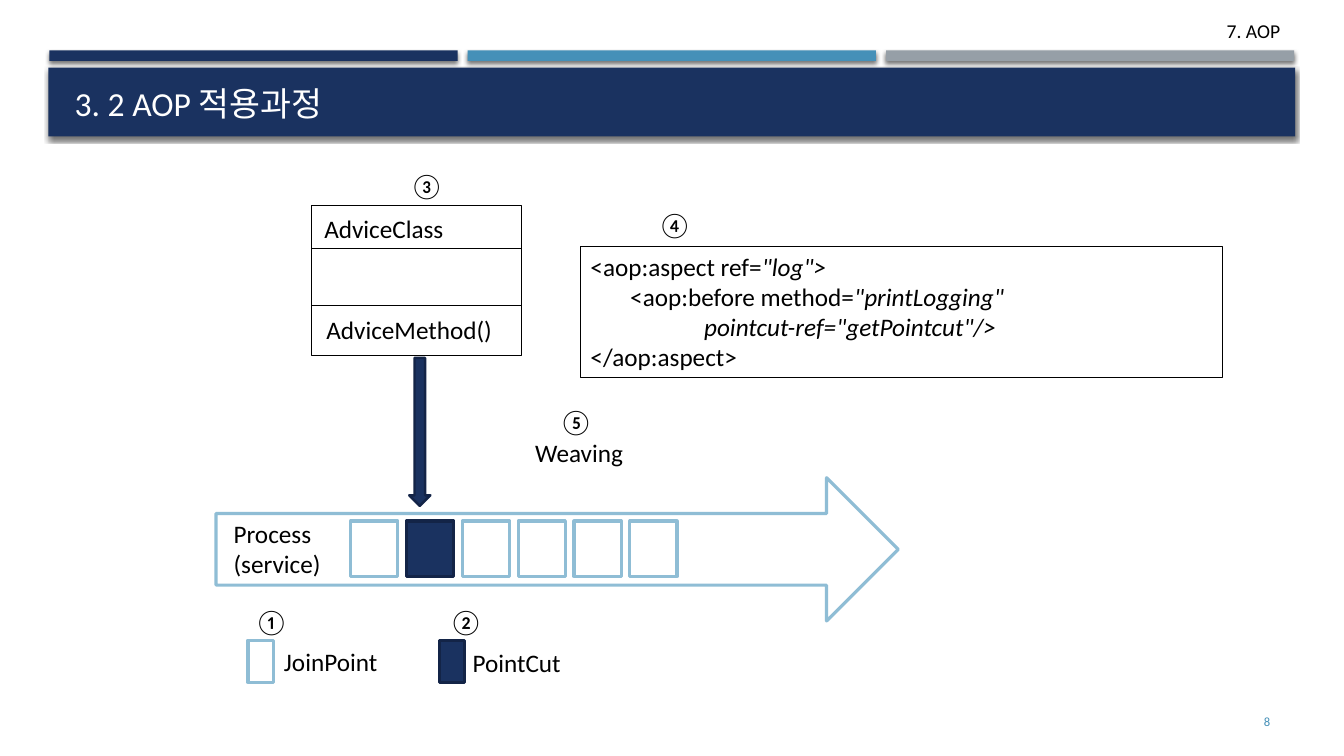
from dataclasses import dataclass
from typing import Optional

from lxml.etree import SubElement
from pptx import Presentation
from pptx.dml.color import RGBColor
from pptx.enum.shapes import MSO_SHAPE
from pptx.enum.text import MSO_ANCHOR, MSO_AUTO_SIZE, PP_ALIGN
from pptx.oxml.ns import qn
from pptx.shapes.autoshape import Shape
from pptx.slide import Slide
from pptx.util import Pt

NAVY, NAVY_EDGE = "1A3260", "132447"
BLUE, PALE_BLUE, GRAY = "4590B8", "8FBDD5", "969FA7"
BLACK, WHITE = "000000", "FFFFFF"


@dataclass
class Block:
    """A preset shape with its place and paint."""

    left: float
    top: float
    width: float
    height: float
    fill: Optional[str] = None
    line: Optional[str] = None
    line_width: float = 2.25
    geometry: MSO_SHAPE = MSO_SHAPE.RECTANGLE
    shadow: bool = False


@dataclass
class Label:
    """A text box with one or more lines."""

    text: str
    left: float
    top: float
    width: float
    height: float = 28.8
    size: float = 18
    color: str = BLACK
    align: PP_ALIGN = PP_ALIGN.LEFT
    anchor: MSO_ANCHOR = MSO_ANCHOR.TOP


def color_of(value: str) -> RGBColor:
    """Turn a hex string into a colour."""
    return RGBColor.from_string(value)


def set_values(target: object, values: dict) -> None:
    """Set every attribute named in the dict."""
    for name, value in values.items():
        setattr(target, name, value)


def format_font(font: object, size: float, color: str, italic: bool = False) -> None:
    """Give a font its face, size, colour and slant."""
    set_values(font, {"name": "Calibri", "size": Pt(size), "italic": italic})
    font.color.rgb = color_of(color)


def add_shadow(shape: Shape) -> None:
    """Put a soft shadow below a shape."""
    effects = shape.element.spPr.find(qn("a:effectLst"))
    attributes = {"blurRad": Pt(3), "dist": Pt(2), "dir": 5400000}
    outer = SubElement(effects, qn("a:outerShdw"),
                       {name: str(int(value)) for name, value in attributes.items()},
                       rotWithShape="0")
    tint = SubElement(outer, qn("a:srgbClr"), val=BLACK)
    SubElement(tint, qn("a:alpha"), val="55000")


def draw_block(slide: Slide, block: Block) -> Shape:
    """Draw one preset shape."""
    place = [Pt(value) for value in (block.left, block.top, block.width, block.height)]
    shape = slide.shapes.add_shape(block.geometry, *place)
    shape.shadow.inherit = False
    if block.shadow:
        add_shadow(shape)
    if block.fill:
        shape.fill.solid()
        shape.fill.fore_color.rgb = color_of(block.fill)
    else:
        shape.fill.background()
    if block.line:
        shape.line.color.rgb = color_of(block.line)
        shape.line.width = Pt(block.line_width)
    else:
        shape.line.fill.background()
    return shape


def draw_label(slide: Slide, label: Label) -> None:
    """Draw one text box."""
    place = [Pt(value) for value in (label.left, label.top, label.width, label.height)]
    frame = slide.shapes.add_textbox(*place).text_frame
    set_values(frame, {"word_wrap": True, "vertical_anchor": label.anchor, "text": label.text})
    for paragraph in frame.paragraphs:
        paragraph.alignment = label.align
        format_font(paragraph.font, label.size, label.color)


def draw_code(slide: Slide, block: Block, lines: list[list[tuple[str, bool]]]) -> None:
    """Draw a framed listing whose runs are upright or italic."""
    frame = draw_block(slide, block).text_frame
    set_values(frame, {"word_wrap": True, "vertical_anchor": MSO_ANCHOR.MIDDLE})
    for index, runs in enumerate(lines):
        paragraph = frame.add_paragraph() if index else frame.paragraphs[0]
        paragraph.alignment = PP_ALIGN.LEFT
        for text, italic in runs:
            run = paragraph.add_run()
            run.text = text
            format_font(run.font, 18, BLACK, italic)


def place_title(slide: Slide, banner: Shape, text: str) -> None:
    """Set the title in front of its banner."""
    title = slide.shapes.title
    set_values(title, {"left": Pt(46.1), "top": Pt(51.8), "width": Pt(868.3), "height": Pt(39.6)})
    set_values(title.text_frame, {"text": text, "word_wrap": True,
                                  "auto_size": MSO_AUTO_SIZE.NONE,
                                  "vertical_anchor": MSO_ANCHOR.BOTTOM})
    paragraph = title.text_frame.paragraphs[0]
    paragraph.alignment = PP_ALIGN.LEFT
    format_font(paragraph.font, 24, WHITE)
    banner.element.addnext(title.element)


def main() -> None:
    """Build and save the slide."""
    presentation = Presentation()
    set_values(presentation, {"slide_width": Pt(960), "slide_height": Pt(540)})
    slide = presentation.slides.add_slide(presentation.slide_layouts[5])

    for index, fill in enumerate((NAVY, BLUE, GRAY)):
        draw_block(slide, Block(35.3 + 298.8 * index, 36, 291.6, 7.5, fill, shadow=True))
    banner = draw_block(slide, Block(34.6, 48.4, 890.6, 49, NAVY, shadow=True))
    place_title(slide, banner, "3. 2 AOP 적용과정")

    draw_block(slide, Block(154.3, 341.2, 487.3, 102.4, line=PALE_BLUE,
                            geometry=MSO_SHAPE.RIGHT_ARROW))
    joinpoint, pointcut = (None, PALE_BLUE), (NAVY, NAVY_EDGE)
    for index in range(6):
        paint = pointcut if index == 1 else joinpoint
        draw_block(slide, Block(250.4 + 39.9 * index, 372.2, 33.8, 39.6, *paint))
    for left, paint in ((177.1, joinpoint), (313.9, pointcut)):
        draw_block(slide, Block(left, 457.2, 18, 30.2, *paint))
    for top, height in ((146.2, 107.3), (177.1, 41)):
        draw_block(slide, Block(222.5, top, 149.8, height, line=BLACK, line_width=0.25))
    draw_block(slide, Block(292.3, 255.6, 15.1, 105.8, NAVY, NAVY_EDGE, 1.75,
                            MSO_SHAPE.DOWN_ARROW))

    steps = {"①": (175, 429.8), "②": (313.9, 429.8), "③": (285.8, 118.1),
             "④": (463, 146.2), "⑤": (392.4, 286.6)}
    labels = [Label(mark, left, top, 28.1) for mark, (left, top) in steps.items()]
    labels += [
        Label("7. AOP", 630.7, 10.1, 290.9, 23.8, 14, align=PP_ALIGN.RIGHT),
        Label("8", 831.6, 501.1, 82.8, size=9, color=BLUE,
              align=PP_ALIGN.RIGHT, anchor=MSO_ANCHOR.MIDDLE),
        Label("Process\n(service)", 159.8, 366.5, 85, 50.4),
        Label("JoinPoint", 195.8, 457.9, 96.5),
        Label("PointCut", 330.5, 458.6, 87.8),
        Label("AdviceClass", 224.6, 149, 141.1),
        Label("AdviceMethod()", 226.1, 221, 141.1),
        Label("Weaving", 375.1, 308.9, 87.8),
    ]
    for label in labels:
        draw_label(slide, label)

    draw_code(slide, Block(414.7, 175.7, 458.6, 93.6, line=BLACK, line_width=0.25), [
        [("<aop:aspect ref=", False), ('"log">', True)],
        [("       <aop:before method=", False), ('"printLogging"', True)],
        [('                    pointcut-ref="getPointcut"/>', True)],
        [("</aop:aspect>", False)],
    ])
    presentation.save("out.pptx")


if __name__ == "__main__":
    main()
